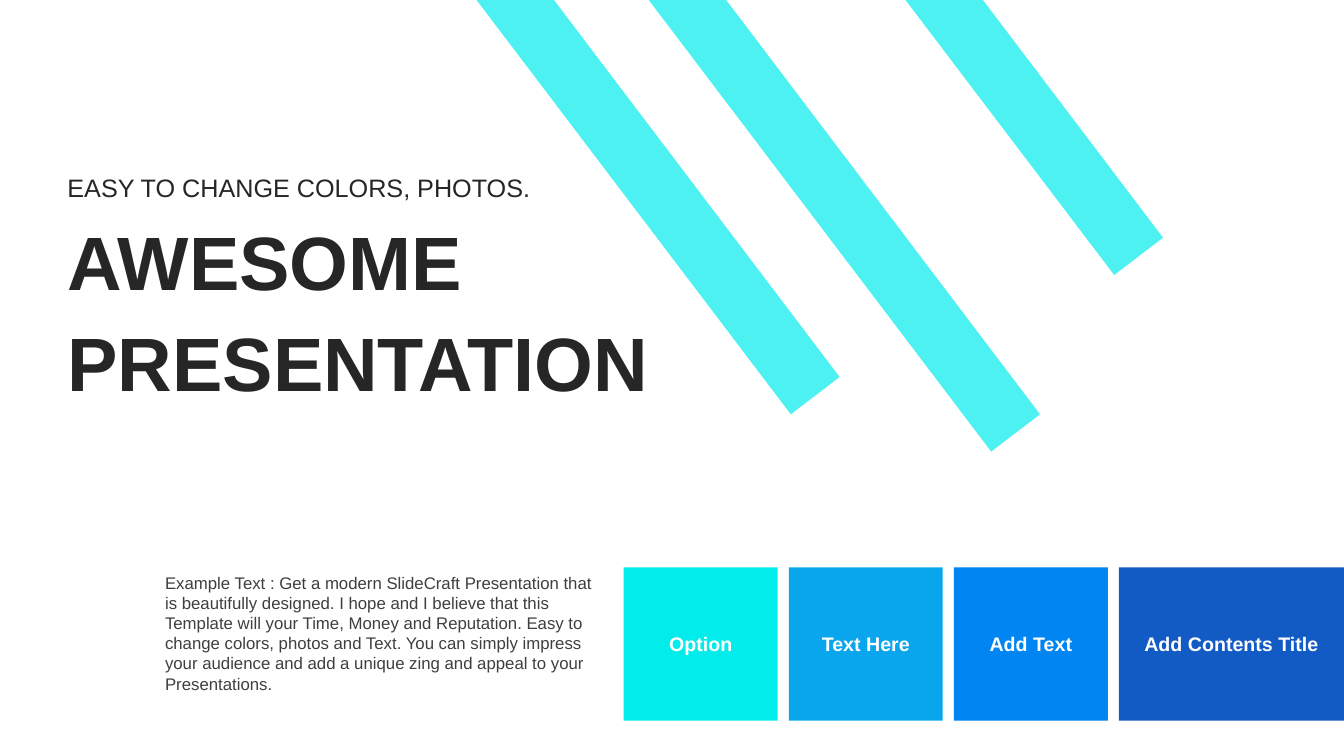
"""Build a title slide with diagonal stripes and a row of option blocks."""
import lxml.etree
import pptx
import pptx.dml.color
import pptx.enum.shapes
import pptx.enum.text
import pptx.oxml.ns
import pptx.util

Cm = pptx.util.Cm
RGBColor = pptx.dml.color.RGBColor
MSO_ANCHOR = pptx.enum.text.MSO_ANCHOR

CYAN = RGBColor(0x02, 0xEC, 0xEC)
SKY = RGBColor(0x0A, 0xA6, 0xED)
AZURE = RGBColor(0x00, 0x85, 0xF2)
NAVY = RGBColor(0x12, 0x5A, 0xC4)
WHITE = RGBColor(0xFF, 0xFF, 0xFF)
DARK = RGBColor(0x26, 0x26, 0x26)
GREY = RGBColor(0x3F, 0x3F, 0x3F)


def write(shape, text, size, color, bold, anchor):
    frame = shape.text_frame
    frame.word_wrap = True
    frame.vertical_anchor = anchor
    frame.text = text
    font = frame.paragraphs[0].runs[0].font
    font.name = "Arial"
    font.size = pptx.util.Pt(size)
    font.bold = bold
    font.color.rgb = color


def paint(shape, color):
    shape.shadow.inherit = False
    shape.fill.solid()
    shape.fill.fore_color.rgb = color
    shape.line.fill.background()


presentation = pptx.Presentation()
presentation.slide_width = Cm(33.87)
presentation.slide_height = Cm(19.05)
slide = presentation.slides.add_slide(presentation.slide_layouts[6])

body = (
    "Example Text : Get a modern SlideCraft Presentation that is beautifully "
    "designed. I hope and I believe that this Template will your Time, Money and "
    "Reputation. Easy to change colors, photos and Text. You can simply impress "
    "your audience and add a unique zing and appeal to your Presentations."
)
texts = [
    ("AWESOME", 1.45, 5.28, 16.4, 2.56, 54, DARK, True, MSO_ANCHOR.MIDDLE),
    ("PRESENTATION", 1.45, 7.83, 16.4, 2.56, 54, DARK, True, MSO_ANCHOR.MIDDLE),
    ("EASY TO CHANGE COLORS, PHOTOS.", 1.45, 4.22, 16.4, 1.02, 18, DARK, False, MSO_ANCHOR.TOP),
    (body, 3.91, 14.3, 11.38, 3.33, 12, GREY, False, MSO_ANCHOR.TOP),
]
for text, left, top, width, height, size, color, bold, anchor in texts:
    box = slide.shapes.add_textbox(Cm(left), Cm(top), Cm(width), Cm(height))
    write(box, text, size, color, bold, anchor)

blocks = [
    ("Option", 3.88, CYAN),
    ("Text Here", 3.88, SKY),
    ("Add Text", 3.88, AZURE),
    ("Add Contents Title", 5.67, NAVY),
]
for index, (label, width, color) in enumerate(blocks):
    block = slide.shapes.add_shape(
        pptx.enum.shapes.MSO_SHAPE.RECTANGLE,
        Cm(15.72 + index * 4.16), Cm(14.3), Cm(width), Cm(3.86),
    )
    paint(block, color)
    write(block, label, 14, WHITE, True, MSO_ANCHOR.MIDDLE)
    block.text_frame.paragraphs[0].alignment = pptx.enum.text.PP_ALIGN.CENTER

stripes = [(22.82, 29.31, 5.99), (12.01, 21.16, 9.5), (16.35, 26.21, 10.44)]
for top_left, tip_x, tip_y in stripes:
    builder = slide.shapes.build_freeform(Cm(top_left), 0)
    builder.add_line_segments([
        (Cm(top_left + 1.95), 0),
        (Cm(tip_x), Cm(tip_y)),
        (Cm(tip_x - 1.23), Cm(tip_y + 0.94)),
    ])
    stripe = builder.convert_to_shape()
    paint(stripe, CYAN)
    fill_color = stripe.element.spPr.find(".//" + pptx.oxml.ns.qn("a:srgbClr"))
    lxml.etree.SubElement(fill_color, pptx.oxml.ns.qn("a:alpha"), val="70000")

presentation.save("out.pptx")
